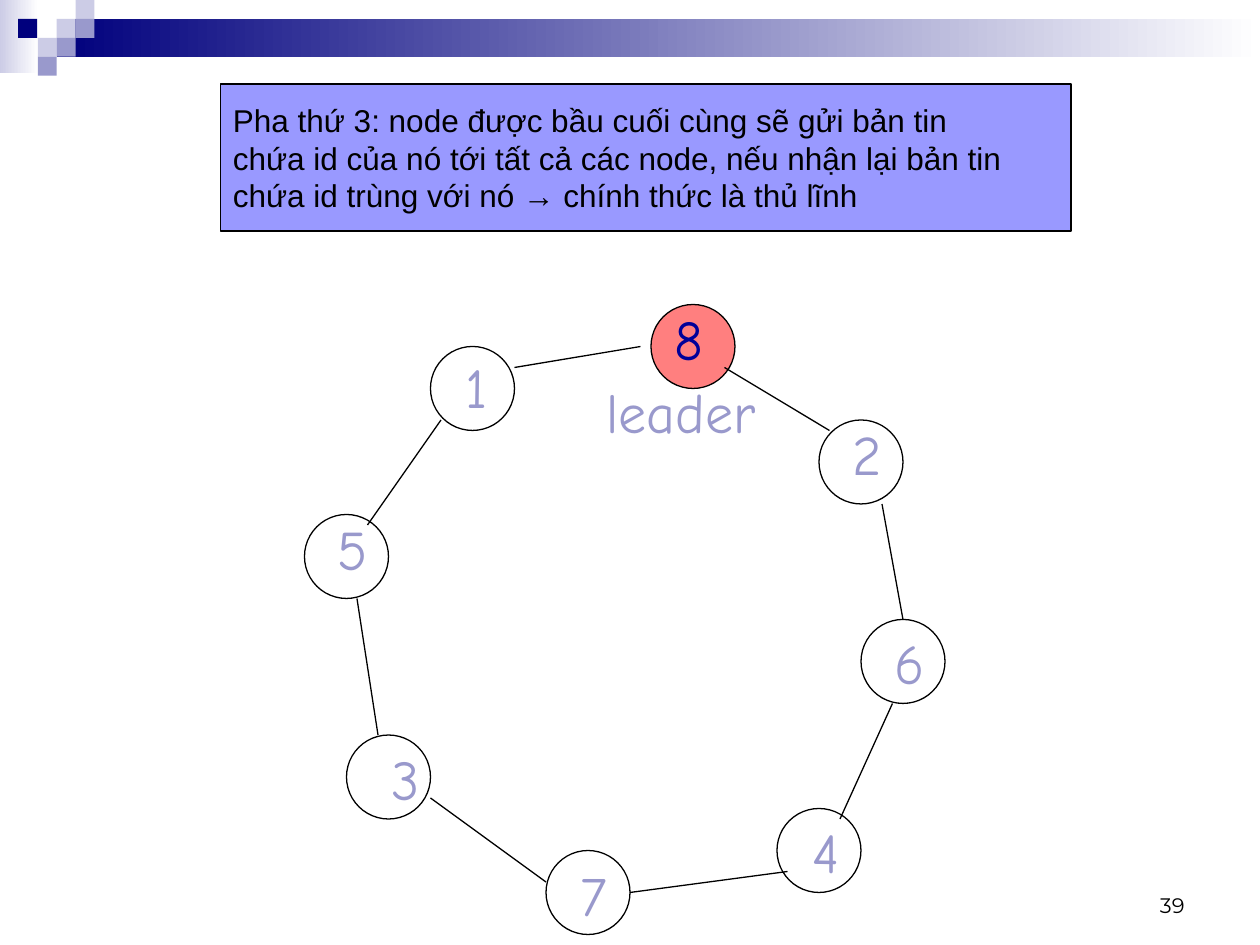
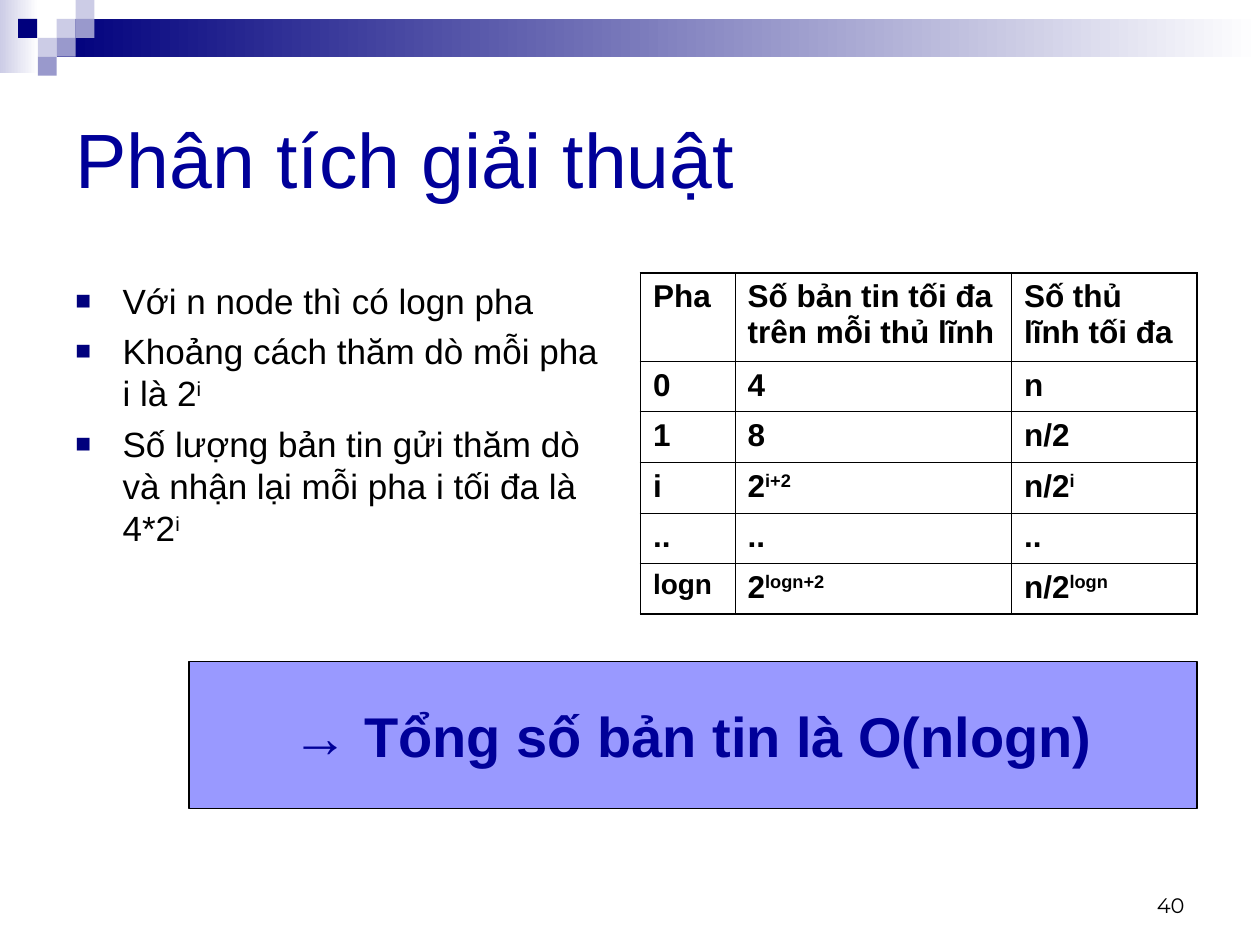
"""Build two slides on ring leader election: the announcement phase and the message count."""
from dataclasses import dataclass
from itertools import product
from typing import Optional

from lxml.etree import SubElement
from pptx import Presentation
from pptx.dml.color import RGBColor
from pptx.enum.shapes import MSO_CONNECTOR, MSO_SHAPE
from pptx.enum.text import MSO_ANCHOR as Anchor, PP_ALIGN as Align
from pptx.oxml.ns import qn
from pptx.shapes.autoshape import Shape
from pptx.slide import Slide
from pptx.table import _Cell as Cell
from pptx.text.text import TextFrame, _Paragraph as Paragraph
from pptx.util import Pt

BLACK = RGBColor(0, 0, 0)
WHITE = RGBColor(255, 255, 255)
RED = RGBColor(255, 0, 0)
NAVY = RGBColor(0, 0, 0x7D)
TITLE_BLUE = RGBColor(0, 0, 0x99)
BANNER_BLUE = RGBColor(0x99, 0x99, 0xFF)
LAVENDER = RGBColor(0x99, 0x99, 0xCC)
PALE_LAVENDER = RGBColor(0xCC, 0xCC, 0xE6)

NODE_SIZE = 48
LABEL_WIDTH, LABEL_HEIGHT = 36, 46
THIN, THICK = 0.45, 1.08


@dataclass(frozen=True)
class Box:
    """A rectangle in points."""
    left: float
    top: float
    width: float
    height: float

    def lengths(self) -> tuple:
        """Return the sides as slide lengths."""
        return Pt(self.left), Pt(self.top), Pt(self.width), Pt(self.height)


@dataclass(frozen=True)
class TextStyle:
    """The look of a paragraph."""
    size: float
    color: RGBColor = BLACK
    font: str = "Arial"
    bold: bool = False
    align: Align = Align.LEFT
    space_before: float = 0


@dataclass(frozen=True)
class Square:
    """A small square of the corner mosaic."""
    left: float
    top: float
    color: RGBColor


@dataclass(frozen=True)
class Node:
    """A ring member with its circle and its number."""
    number: str
    left: float
    top: float
    label_left: float
    label_top: float
    leader: bool = False


@dataclass(frozen=True)
class Link:
    """A line between two ring members."""
    start: tuple[float, float]
    end: tuple[float, float]


SQUARES = [
    Square(32.4, 10.8, PALE_LAVENDER), Square(43.2, 0, PALE_LAVENDER),
    Square(43.2, 10.8, LAVENDER), Square(21.6, 21.6, PALE_LAVENDER),
    Square(10.4, 10.8, NAVY), Square(32.4, 21.6, LAVENDER),
    Square(21.6, 32.4, LAVENDER),
]
NODES = [
    Node("8", 372, 174, 378.5, 170.6, leader=True),
    Node("1", 246, 198, 259.2, 198),
    Node("5", 174, 294, 185.8, 290.2),
    Node("3", 198, 420, 216.7, 421.9),
    Node("7", 312, 486, 324.7, 488.2),
    Node("2", 468, 240, 480.2, 236.2),
    Node("6", 492, 354, 504, 355.7),
    Node("4", 444, 462, 457.2, 463.7),
]
LINKS = [
    Link((210, 300), (252, 240)), Link((294, 210), (366, 198)),
    Link((414, 210), (474, 246)), Link((504, 288), (516, 354)),
    Link((510, 402), (480, 468)), Link((450, 498), (360, 510)),
    Link((312, 504), (246, 456)), Link((216, 420), (204, 342)),
]
ANNOUNCEMENT = [
    "Pha thứ 3: node được bầu cuối cùng sẽ gửi bản tin",
    "chứa id của nó tới tất cả các node, nếu nhận lại bản tin",
    "chứa id trùng với nó → chính thức là thủ lĩnh",
]
BULLETS = [
    "Với n node thì có logn pha",
    "Khoảng cách thăm dò mỗi pha i là 2^i",
    "Số lượng bản tin gửi thăm dò và nhận lại mỗi pha i tối đa là 4*2^i",
]
PHASE_ROWS = [
    ["Pha", "Số bản tin tối đa trên mỗi thủ lĩnh", "Số thủ lĩnh tối đa"],
    ["0", "4", "n"],
    ["1", "8", "n/2"],
    ["i", "2^i+2", "n/2^i"],
    ["..", "..", ".."],
    ["logn", "2^logn+2", "n/2^logn"],
]
COLUMN_WIDTHS = [54, 158, 106]
ROW_HEIGHTS = [50.4] + [28.9] * 5

NUMBER_STYLE = TextStyle(12, font="Montserrat", align=Align.RIGHT)
LABEL_STYLE = TextStyle(32, LAVENDER, "Comic Neue", space_before=8)
LEADER_STYLE = TextStyle(32, TITLE_BLUE, "Comic Neue", space_before=8)
CELL_STYLE = TextStyle(18, bold=True, space_before=4.5)
LAST_PHASE_STYLE = TextStyle(16, bold=True, space_before=4)
TOTAL_STYLE = TextStyle(32, TITLE_BLUE, bold=True, align=Align.CENTER, space_before=8)


def write_paragraph(paragraph: Paragraph, text: str, style: TextStyle) -> None:
    """Write styled text; what follows a caret is superscript."""
    base, _, exponent = text.partition("^")
    paragraph.add_run().text = base
    if exponent:
        run = paragraph.add_run()
        run.text = exponent
        run.font._element.set("baseline", "30000")
    font = paragraph.font
    font.size, font.name, font.bold = Pt(style.size), style.font, style.bold
    font.color.rgb = style.color
    paragraph.alignment = style.align
    paragraph.space_before = Pt(style.space_before)


def write_lines(frame: TextFrame, lines: list[str], style: TextStyle) -> None:
    """Write one paragraph for each line."""
    for index, line in enumerate(lines):
        paragraph = frame.add_paragraph() if index else frame.paragraphs[0]
        write_paragraph(paragraph, line, style)


def add_text(slide: Slide, box: Box, lines: list[str], style: TextStyle,
             anchor: Anchor = Anchor.TOP) -> TextFrame:
    """Add a text box."""
    frame = slide.shapes.add_textbox(*box.lengths()).text_frame
    frame.word_wrap = True
    frame.vertical_anchor = anchor
    write_lines(frame, lines, style)
    return frame


def add_figure(slide: Slide, kind: MSO_SHAPE, box: Box, fill: Optional[RGBColor] = None,
               outlined: bool = False) -> Shape:
    """Add a flat preset shape, with a thin black outline if wanted."""
    shape = slide.shapes.add_shape(kind, *box.lengths())
    shape.shadow.inherit = False
    if fill is None:
        shape.fill.background()
    else:
        shape.fill.solid()
        shape.fill.fore_color.rgb = fill
    if outlined:
        shape.line.color.rgb = BLACK
        shape.line.width = Pt(0.75)
    else:
        shape.line.fill.background()
    return shape


def add_fading_band(slide: Slide, box: Box, color: RGBColor) -> None:
    """Add a band that fades to white on the right."""
    fill = add_figure(slide, MSO_SHAPE.RECTANGLE, box).fill
    fill.gradient()
    fill.gradient_angle = 0
    for stop, stop_color in zip(fill.gradient_stops, (color, WHITE)):
        stop.color.rgb = stop_color


def add_banner(slide: Slide, box: Box, lines: list[str], style: TextStyle) -> None:
    """Add an outlined blue banner with text."""
    frame = add_figure(slide, MSO_SHAPE.RECTANGLE, box, BANNER_BLUE, outlined=True).text_frame
    frame.word_wrap = True
    frame.vertical_anchor = Anchor.MIDDLE
    write_lines(frame, lines, style)


def add_framed_slide(presentation: Presentation, number: int) -> Slide:
    """Add a blank slide with the header mosaic and the slide number."""
    slide = presentation.slides.add_slide(presentation.slide_layouts[6])
    add_fading_band(slide, Box(0, 0, 22, 42), PALE_LAVENDER)
    add_fading_band(slide, Box(32.4, 10.8, 687.6, 21.6), NAVY)
    for square in SQUARES:
        add_figure(slide, MSO_SHAPE.RECTANGLE, Box(square.left, square.top, 10.8, 10.8),
                   square.color)
    add_text(slide, Box(516, 492, 168, 36), [str(number)], NUMBER_STYLE, Anchor.BOTTOM)
    return slide


def add_link(slide: Slide, link: Link) -> None:
    """Add a thin black line without a shadow."""
    points = (Pt(value) for value in link.start + link.end)
    connector = slide.shapes.add_connector(MSO_CONNECTOR.STRAIGHT, *points)
    connector.line.color.rgb = BLACK
    connector.line.width = Pt(0.75)
    SubElement(connector._element.spPr, qn("a:effectLst"))


def add_ring(slide: Slide) -> None:
    """Add the ring: circles, then links, then labels."""
    for node in NODES:
        box = Box(node.left, node.top, NODE_SIZE, NODE_SIZE)
        circle = add_figure(slide, MSO_SHAPE.OVAL, box, RED if node.leader else None, True)
        if node.leader:
            color = circle._element.spPr.find(qn("a:solidFill"))[0]
            SubElement(color, qn("a:alpha"), val="50000")
    for link in LINKS:
        add_link(slide, link)
    for node in NODES:
        box = Box(node.label_left, node.label_top, LABEL_WIDTH, LABEL_HEIGHT)
        add_text(slide, box, [node.number], LEADER_STYLE if node.leader else LABEL_STYLE)
    add_text(slide, Box(339.4, 212, 120, LABEL_HEIGHT), ["leader"], LABEL_STYLE)


def set_bullet(paragraph: Paragraph) -> None:
    """Give a paragraph a hanging square bullet."""
    properties = paragraph._element.get_or_add_pPr()
    properties.set("marL", str(Pt(27)))
    properties.set("indent", str(-Pt(27)))
    tags = [("buClr", {}), ("buSzPct", {"val": "75000"}),
            ("buFont", {"typeface": "Arial"}), ("buChar", {"char": "■"})]
    bullet = [SubElement(properties, qn(f"a:{tag}"), **values) for tag, values in tags]
    SubElement(bullet[0], qn("a:srgbClr"), val=str(NAVY))
    for default in properties.findall(qn("a:defRPr")):
        properties.append(default)


def set_borders(cell: Cell, row: int, column: int) -> None:
    """Draw thick borders on the table's edge and thin ones inside."""
    outer = {"lnL": column == 0, "lnR": column == len(COLUMN_WIDTHS) - 1,
             "lnT": row == 0, "lnB": row == len(ROW_HEIGHTS) - 1}
    properties = cell._tc.get_or_add_tcPr()
    for tag, is_outer in outer.items():
        width = str(Pt(THICK if is_outer else THIN))
        line = SubElement(properties, qn(f"a:{tag}"), w=width)
        SubElement(SubElement(line, qn("a:solidFill")), qn("a:srgbClr"), val=str(BLACK))


def add_phase_table(slide: Slide, left: float, top: float) -> None:
    """Add the table of messages and leaders for each phase."""
    box = Box(left, top, sum(COLUMN_WIDTHS), sum(ROW_HEIGHTS))
    table = slide.shapes.add_table(len(ROW_HEIGHTS), len(COLUMN_WIDTHS), *box.lengths()).table
    table.first_row = table.horz_banding = False
    for column, width in zip(table.columns, COLUMN_WIDTHS):
        column.width = Pt(width)
    for row, height in zip(table.rows, ROW_HEIGHTS):
        row.height = Pt(height)
    for row, column in product(range(len(ROW_HEIGHTS)), range(len(COLUMN_WIDTHS))):
        cell, text = table.cell(row, column), PHASE_ROWS[row][column]
        set_borders(cell, row, column)
        cell.fill.background()
        style = LAST_PHASE_STYLE if text == "logn" else CELL_STYLE
        write_lines(cell.text_frame, [text], style)


def build_announcement_slide(presentation: Presentation) -> None:
    """Build the slide where the leader announces itself."""
    slide = add_framed_slide(presentation, 39)
    add_banner(slide, Box(126, 48, 486, 84), ANNOUNCEMENT, TextStyle(18))
    add_ring(slide)


def build_analysis_slide(presentation: Presentation) -> None:
    """Build the slide that counts the messages."""
    slide = add_framed_slide(presentation, 40)
    add_text(slide, Box(36, 36, 648, 108), ["Phân tích giải thuật"],
             TextStyle(44, TITLE_BLUE), Anchor.MIDDLE)
    body = add_text(slide, Box(36, 156, 318, 204), BULLETS, TextStyle(20, space_before=5))
    for paragraph in body.paragraphs:
        set_bullet(paragraph)
    add_phase_table(slide, 366, 156)
    add_banner(slide, Box(108, 378, 576, 84), ["→ Tổng số bản tin là O(nlogn)"], TOTAL_STYLE)


def main() -> None:
    """Build and save the presentation."""
    presentation = Presentation()
    presentation.slide_width, presentation.slide_height = Pt(720), Pt(540)
    build_announcement_slide(presentation)
    build_analysis_slide(presentation)
    presentation.save("out.pptx")


if __name__ == "__main__":
    main()
